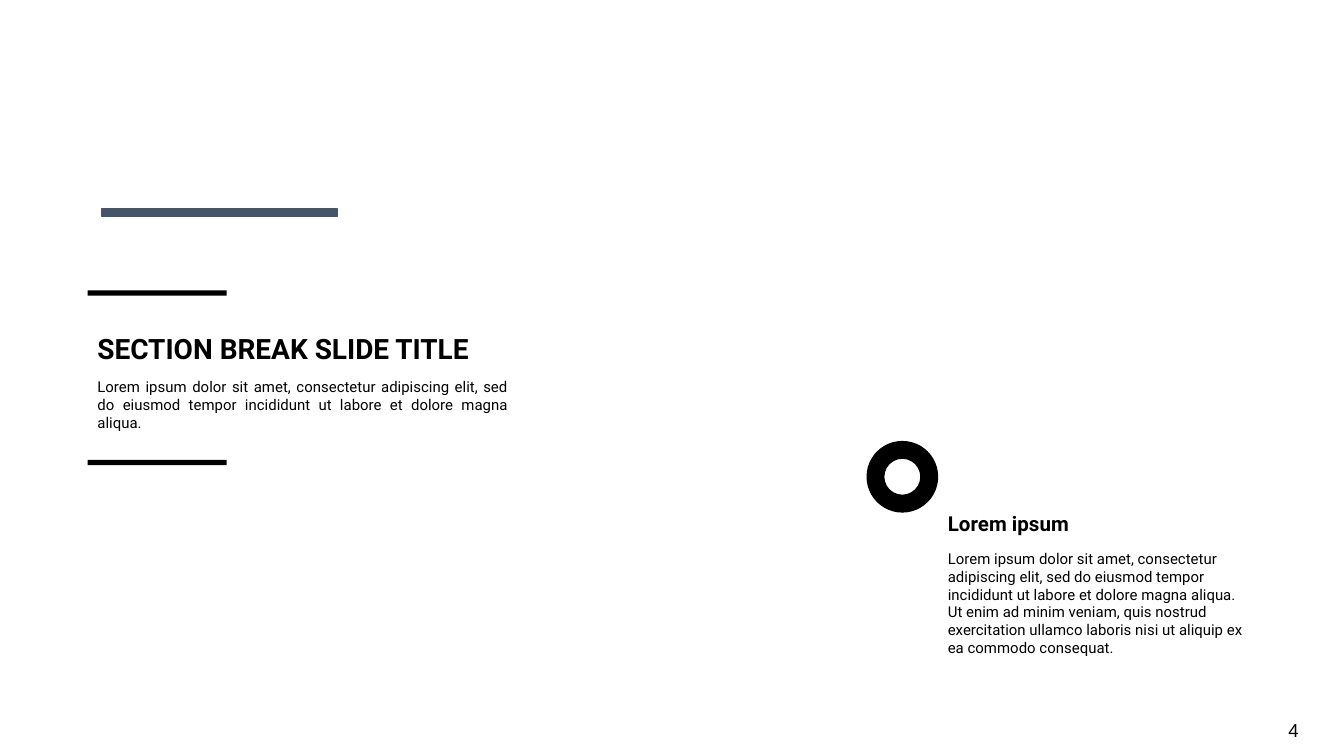
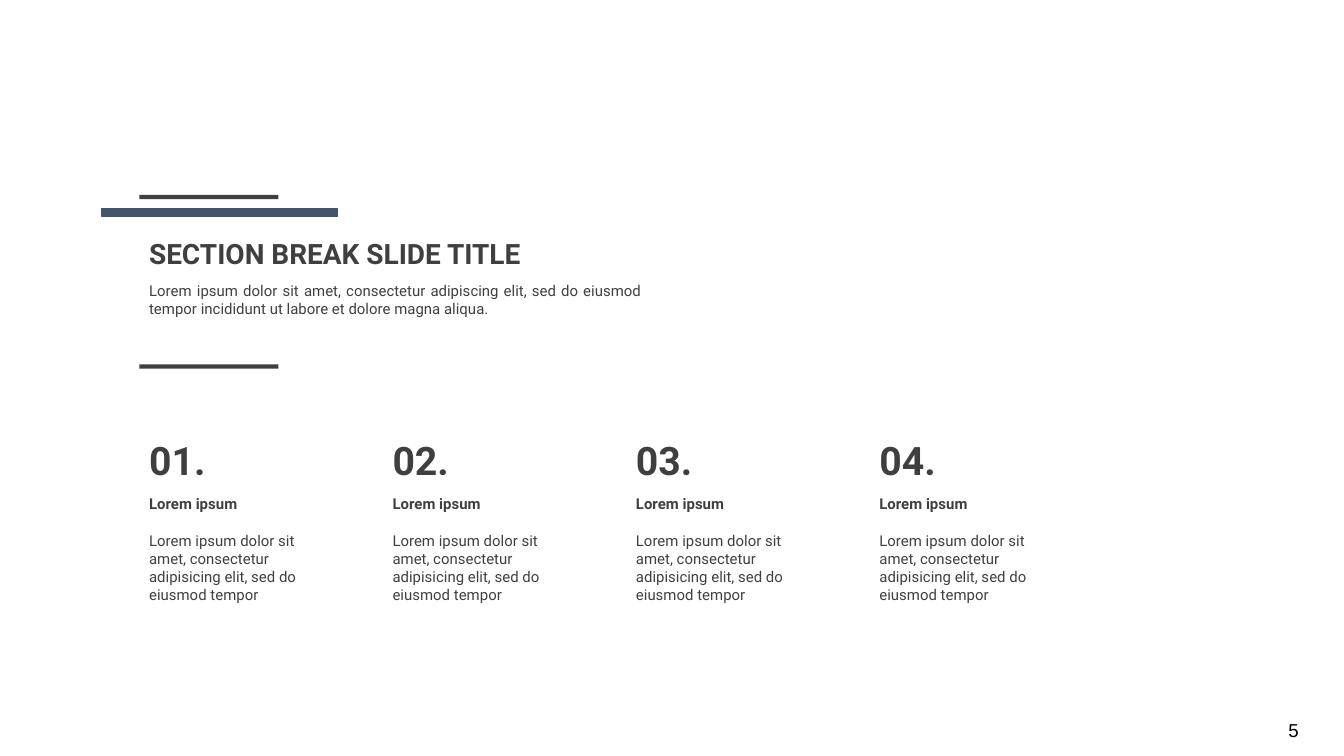
import pptx
import pptx.util
import pptx.dml.color
import pptx.enum.shapes
import pptx.enum.text

Pt = pptx.util.Pt
RGBColor = pptx.dml.color.RGBColor
SHAPE = pptx.enum.shapes.MSO_SHAPE
ALIGN = pptx.enum.text.PP_ALIGN
TOP = pptx.enum.text.MSO_ANCHOR.TOP

BLACK = RGBColor(0x00, 0x00, 0x00)
CHARCOAL = RGBColor(0x3F, 0x3F, 0x3F)
SLATE = RGBColor(0x44, 0x54, 0x6A)

TITLE = "SECTION BREAK SLIDE TITLE"
INTRO = ("Lorem ipsum dolor sit amet, consectetur adipiscing elit, "
         "sed do eiusmod tempor incididunt ut labore et dolore magna aliqua.")
DETAIL = (INTRO + " Ut enim ad minim veniam, quis nostrud exercitation "
          "ullamco laboris nisi ut aliquip ex ea commodo consequat.")
STEP_TEXT = ("Lorem ipsum dolor sit amet, consectetur adipisicing elit, "
             "sed do eiusmod tempor")
LABEL = "Lorem ipsum"


def write(holder, text, size, color, bold=False, align=ALIGN.LEFT,
          font="Roboto", insets=(5.2, 2.7)):
    frame = holder.text_frame
    frame.word_wrap = True
    frame.auto_size = pptx.enum.text.MSO_AUTO_SIZE.NONE
    frame.vertical_anchor = TOP
    frame.margin_left = frame.margin_right = Pt(insets[0])
    frame.margin_top = frame.margin_bottom = Pt(insets[1])
    frame.text = text
    paragraph = frame.paragraphs[0]
    paragraph.alignment = align
    paragraph.font.name = font
    paragraph.font.size = Pt(size)
    paragraph.font.bold = bold
    paragraph.font.color.rgb = color


def add_text(slide, box, text, size, color, **style):
    holder = slide.shapes.add_textbox(*map(Pt, box))
    write(holder, text, size, color, **style)


def add_solid(slide, kind, box, color):
    solid = slide.shapes.add_shape(kind, *map(Pt, box))
    solid.shadow.inherit = False
    solid.fill.solid()
    solid.fill.fore_color.rgb = color
    solid.line.fill.background()
    return solid


def add_base(deck, number):
    slide = deck.slides.add_slide(deck.slide_layouts[5])
    accent = add_solid(slide, SHAPE.RECTANGLE, (54.6, 111.8, 126, 4.2), SLATE)
    accent.line.color.rgb = SLATE
    accent.line.width = Pt(0.75)
    add_text(slide, (674, 378, 28.8, 26.6), str(number), 10, BLACK,
             align=ALIGN.RIGHT, font="Arial", insets=(7.2, 7.2))
    return slide


def add_heading(slide, left, top, width, intro_height, rule_height, color):
    title = slide.shapes.title
    title.left, title.top = Pt(left), Pt(top + 19.4)
    title.width, title.height = Pt(width), Pt(23.8)
    write(title, TITLE, 15, color, bold=True)
    add_text(slide, (left, top + 43.9, width, intro_height), INTRO, 8, color,
             align=ALIGN.JUSTIFY)
    for offset in (0, 90.8):
        add_solid(slide, SHAPE.RECTANGLE,
                  (left, top + offset, 74.5, rule_height), color)


def add_callout(slide, left, top):
    ring = 38.4
    text_left = left + ring
    donut = add_solid(slide, SHAPE.DONUT, (left, top, ring, ring), BLACK)
    donut.adjustments[0] = 0.25
    add_text(slide, (text_left, top + 34.6, 172, 18), LABEL, 11, BLACK,
             bold=True)
    add_text(slide, (text_left, top + 55.4, 172, 65.5), DETAIL, 8, BLACK)


def add_step(slide, left, top, number):
    width = 98
    add_text(slide, (left, top, width, 31), f"{number:02d}.", 21, CHARCOAL,
             bold=True)
    add_text(slide, (left, top + 31, width, 15), LABEL, 8, CHARCOAL, bold=True)
    add_text(slide, (left, top + 51.1, width, 45.4), STEP_TEXT, 8, CHARCOAL)


def build_callout_slide(deck):
    slide = add_base(deck, 4)
    add_heading(slide, 47, 155.6, 230.6, 35.3, 2.8, BLACK)
    add_callout(slide, 464.2, 236.2)


def build_steps_slide(deck):
    slide = add_base(deck, 5)
    left, pitch = 74.7, 130.4
    add_heading(slide, left, 104.4, 274.6, 25.2, 2.3, CHARCOAL)
    for index in range(4):
        add_step(slide, left + index * pitch, 231.1, index + 1)


def main():
    deck = pptx.Presentation()
    deck.slide_width, deck.slide_height = Pt(720), Pt(405)
    build_callout_slide(deck)
    build_steps_slide(deck)
    deck.save("out.pptx")


if __name__ == "__main__":
    main()
